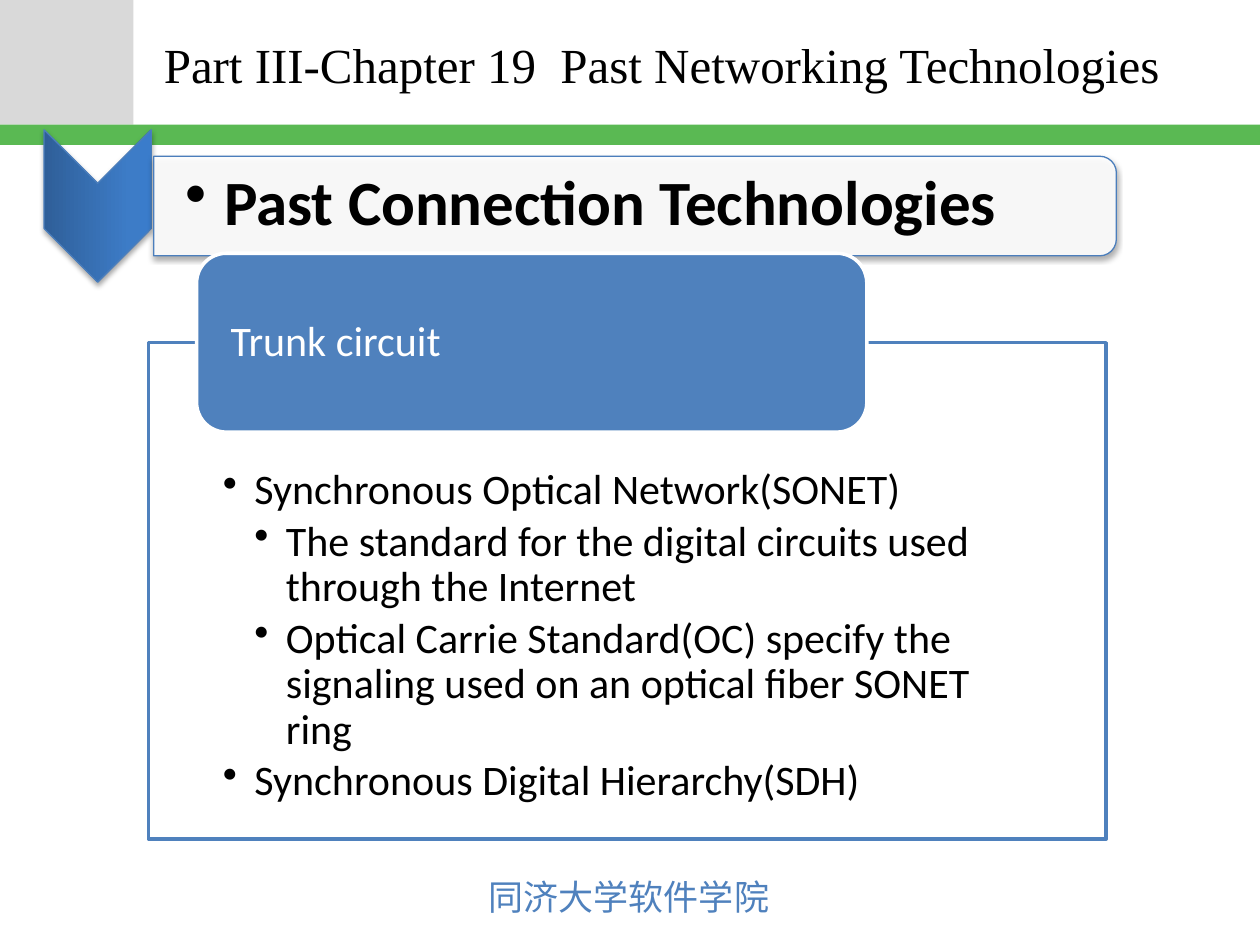
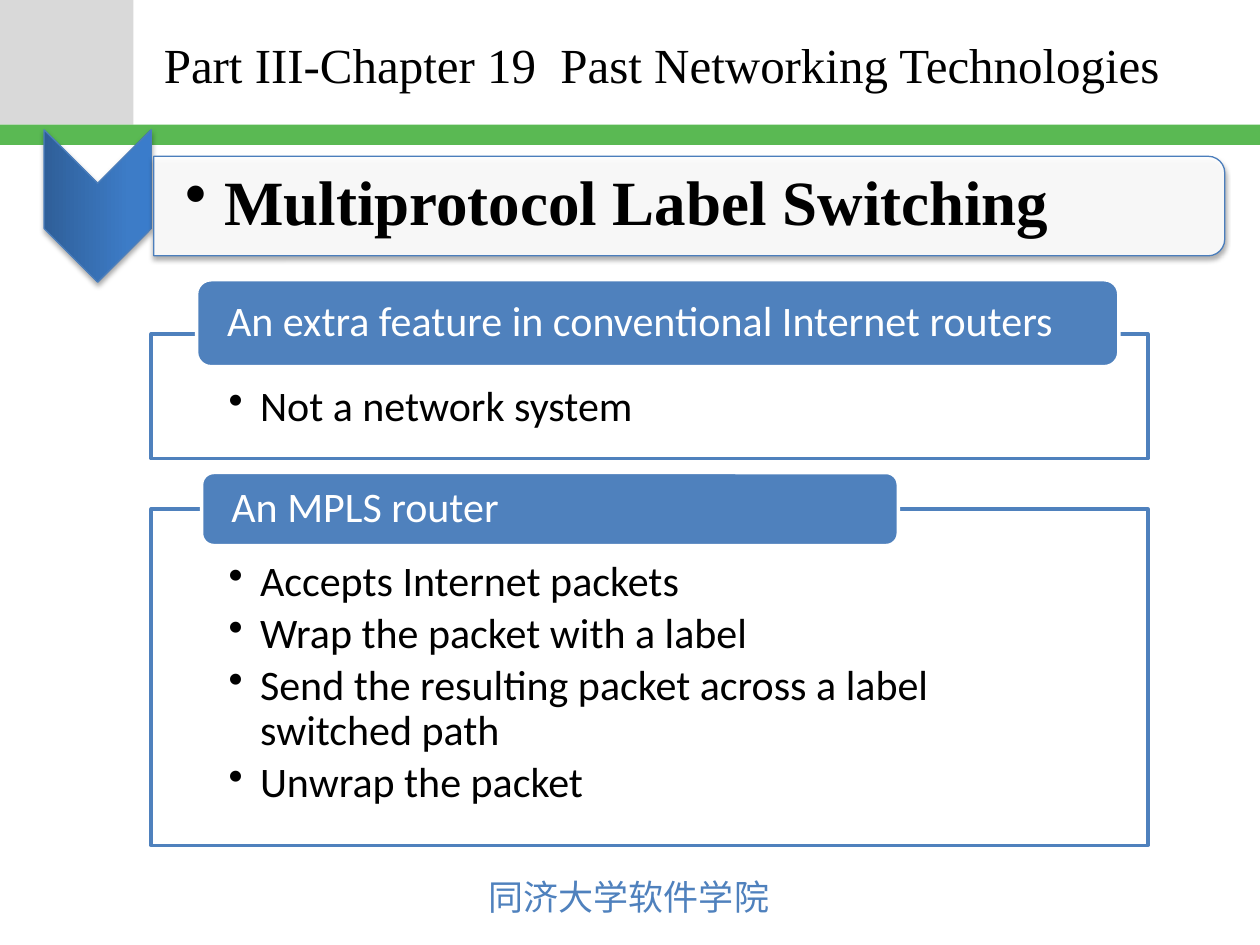
from dataclasses import dataclass
import copy

import pptx
import pptx.dml.color
import pptx.enum.shapes
import pptx.enum.text
import pptx.oxml
import pptx.oxml.ns
import pptx.util
from pptx.util import Inches, Pt

SHAPE = pptx.enum.shapes.MSO_SHAPE
ANCHOR = pptx.enum.text.MSO_ANCHOR
ALIGN = pptx.enum.text.PP_ALIGN
AUTO_SIZE = pptx.enum.text.MSO_AUTO_SIZE

CHAPTER = "Part III-Chapter 19  Past Networking Technologies"
SCHOOL = "同济大学软件学院"

SLIDES = [
    {
        "heading": "Past Connection Technologies",
        "heading_font": "Calibri",
        "strip_width": 7.64,
        "panels": [
            {
                "box": (1.18, 2.72, 7.6, 3.94),
                "tab": (1.56, 2.01, 5.32, 1.42),
                "text_top": 1,
                "title": "Trunk circuit",
                "items": [
                    (1, "Synchronous Optical Network(SONET)"),
                    (2, "The standard for the digital circuits used through the Internet"),
                    (2, "Optical Carrie Standard(OC) specify the signaling used "
                        "on an optical fiber SONET ring"),
                    (1, "Synchronous Digital Hierarchy(SDH)"),
                ],
            },
        ],
    },
    {
        "heading": "Multiprotocol Label Switching",
        "heading_font": "Times New Roman",
        "strip_width": 8.5,
        "panels": [
            {
                "box": (1.2, 2.65, 7.91, 0.99),
                "tab": (1.56, 2.22, 7.32, 0.69),
                "text_top": 0.41,
                "title": "An extra feature in conventional Internet routers",
                "items": [(1, "Not a network system")],
            },
            {
                "box": (1.2, 4.04, 7.91, 2.67),
                "tab": (1.6, 3.75, 5.53, 0.58),
                "text_top": 0.41,
                "title": "An MPLS router",
                "items": [
                    (1, "Accepts Internet packets"),
                    (1, "Wrap the packet with a label"),
                    (1, "Send the resulting packet across a label switched path"),
                    (1, "Unwrap the packet"),
                ],
            },
        ],
    },
]


@dataclass(frozen=True)
class Theme:
    black: str = "000000"
    white: str = "FFFFFF"
    gray: str = "D9D9D9"
    green: str = "5AB953"
    blue: str = "4F81BD"
    edge: str = "4B7EBC"
    chevron: tuple = ((0, "2F5F99"), (0.8, "3D7CC7"), (1, "3A7CCB"))
    title_font: str = "Times New Roman"
    body_font: str = "Calibri"
    footer_font: str = "Noto Sans CJK JP"
    title_size: int = 28
    heading_size: int = 36
    body_size: int = 24
    footer_size: int = 20


T = Theme()
STRIP_LEFT, STRIP_TOP, STRIP_HEIGHT = 1.22, 1.24, 0.79


def rgb(color):
    return pptx.dml.color.RGBColor.from_string(color)


def inches(box):
    return [Inches(v) for v in box]


def add_box(slide, kind, box, fill=None, line=None, width=0.75, alpha=None):
    sp = slide.shapes.add_shape(kind, *inches(box))
    sp.shadow.inherit = False
    if fill:
        sp.fill.solid()
        sp.fill.fore_color.rgb = rgb(fill)
    if alpha:
        color = sp.element.spPr.find(".//" + pptx.oxml.ns.qn("a:srgbClr"))
        color.append(pptx.oxml.parse_xml(
            f'<a:alpha {pptx.oxml.ns.nsdecls("a")} val="{alpha * 1000}"/>'))
    if line:
        sp.line.color.rgb = rgb(line)
        sp.line.width = Pt(width)
    else:
        sp.line.fill.background()
    return sp


def add_shadow(sp):
    effects = sp.element.spPr.find(pptx.oxml.ns.qn("a:effectLst"))
    effects.append(pptx.oxml.parse_xml(
        f'<a:outerShdw {pptx.oxml.ns.nsdecls("a")} blurRad="{Pt(3.1)}" dist="{Pt(1.8)}" '
        'dir="5400000" rotWithShape="0"><a:srgbClr val="000000">'
        '<a:alpha val="35000"/></a:srgbClr></a:outerShdw>'))


def set_frame(tf, insets, anchor):
    tf.word_wrap = True
    tf.vertical_anchor = anchor
    tf.margin_left, tf.margin_top, tf.margin_right, tf.margin_bottom = inches(insets)


def style(p, font, size, color, bold=False):
    p.alignment = ALIGN.LEFT
    p.font.name = font
    p.font.size = Pt(size)
    p.font.color.rgb = rgb(color)
    p.font.bold = bold


def add_bullet(p, level, step, size):
    p.level = level
    p.line_spacing = 0.9
    p.space_after = Pt(size * 0.15)
    pPr = p._p.get_or_add_pPr()
    pPr.set("marL", str(Inches(step * level)))
    pPr.set("indent", str(-Inches(step)))
    bullet = pptx.oxml.parse_xml(f'<a:buChar {pptx.oxml.ns.nsdecls("a")} char="•"/>')
    pPr.find(pptx.oxml.ns.qn("a:defRPr")).addprevious(bullet)


def build_layout(layout, slide):
    for ph in list(layout.placeholders)[1:]:
        ph.element.getparent().remove(ph.element)
    corner = add_box(slide, SHAPE.RECTANGLE, (0, 0, 1.06, 0.99), T.gray)
    band = add_box(slide, SHAPE.RECTANGLE, (0, 0.99, 10, 0.16), T.green)
    footer = slide.shapes.add_textbox(*inches((3.78, 6.9, 2.45, 0.44)))
    tf = footer.text_frame
    tf.word_wrap = False
    tf.auto_size = AUTO_SIZE.SHAPE_TO_FIT_TEXT
    p = tf.paragraphs[0]
    r = p.add_run()
    r.text = SCHOOL
    style(p, T.footer_font, T.footer_size, T.blue)
    r.font.name = T.footer_font
    r.font.size = Pt(T.footer_size)
    r.font.color.rgb = rgb(T.blue)
    r.font._element.find(pptx.oxml.ns.qn("a:latin")).addnext(pptx.oxml.parse_xml(
        f'<a:ea {pptx.oxml.ns.nsdecls("a")} typeface="{T.footer_font}"/>'))
    for sp in (corner, band, footer):
        layout.element.cSld.spTree.append(sp.element)


def add_title(slide):
    sp = slide.shapes.title
    sp.left, sp.top, sp.width, sp.height = inches((1.2, 0.02, 8.6, 0.98))
    tf = sp.text_frame
    tf.text = CHAPTER
    tf.auto_size = AUTO_SIZE.NONE
    tf.vertical_anchor = ANCHOR.MIDDLE
    style(tf.paragraphs[0], T.title_font, T.title_size, T.black)


def add_chevron(slide):
    sp = add_box(slide, SHAPE.CHEVRON, (0.17, 1.21, 1.21, 0.85), line=T.edge)
    sp.rotation = 90
    sp.fill.gradient()
    sp.fill.gradient_angle = 90
    stops = sp.element.spPr.find(".//" + pptx.oxml.ns.qn("a:gsLst"))
    stops.append(copy.deepcopy(stops[-1]))
    for stop, (position, color) in zip(sp.fill.gradient_stops, T.chevron):
        stop.position = position
        stop.color.rgb = rgb(color)
    add_shadow(sp)


def add_heading(slide, text, font, width):
    left = STRIP_LEFT + (width - STRIP_HEIGHT) / 2
    top = STRIP_TOP + (STRIP_HEIGHT - width) / 2
    strip = add_box(slide, SHAPE.ROUND_2_SAME_RECTANGLE, (left, top, STRIP_HEIGHT, width),
                    T.white, T.edge, alpha=90)
    strip.rotation = 90
    add_shadow(strip)
    label = slide.shapes.add_textbox(*inches((STRIP_LEFT, 1.27, width - 0.04, 0.71)))
    tf = label.text_frame
    set_frame(tf, (0.25, 0.02, 0.02, 0.02), ANCHOR.MIDDLE)
    p = tf.paragraphs[0]
    p.text = text
    style(p, font, T.heading_size, T.black, bold=True)
    add_bullet(p, 1, 0.31, T.heading_size)


def add_panel(slide, panel):
    width = panel["box"][2]
    side, tab_side = width * 0.0776, width * 0.0265
    box = add_box(slide, SHAPE.RECTANGLE, panel["box"], T.white, T.blue, 2, alpha=90)
    tf = box.text_frame
    set_frame(tf, (side, panel["text_top"], side, 0.19), ANCHOR.TOP)
    for i, (level, text) in enumerate(panel["items"]):
        p = tf.add_paragraph() if i else tf.paragraphs[0]
        p.text = text
        style(p, T.body_font, T.body_size, T.black)
        add_bullet(p, level, 0.25, T.body_size)

    tab = add_box(slide, SHAPE.ROUNDED_RECTANGLE, panel["tab"], T.blue, T.white, 2)
    tf = tab.text_frame
    set_frame(tf, (tab_side, 0, tab_side, 0), ANCHOR.MIDDLE)
    p = tf.paragraphs[0]
    p.text = panel["title"]
    p.line_spacing = 0.9
    style(p, T.body_font, T.body_size, T.white)


def main():
    prs = pptx.Presentation()
    prs.slide_width, prs.slide_height = Inches(10), Inches(7.5)
    layout = prs.slide_layouts[5]
    for i, content in enumerate(SLIDES):
        slide = prs.slides.add_slide(layout)
        if i == 0:
            build_layout(layout, slide)
        add_title(slide)
        add_chevron(slide)
        add_heading(slide, content["heading"], content["heading_font"], content["strip_width"])
        for panel in content["panels"]:
            add_panel(slide, panel)
    prs.save("out.pptx")


if __name__ == "__main__":
    main()
